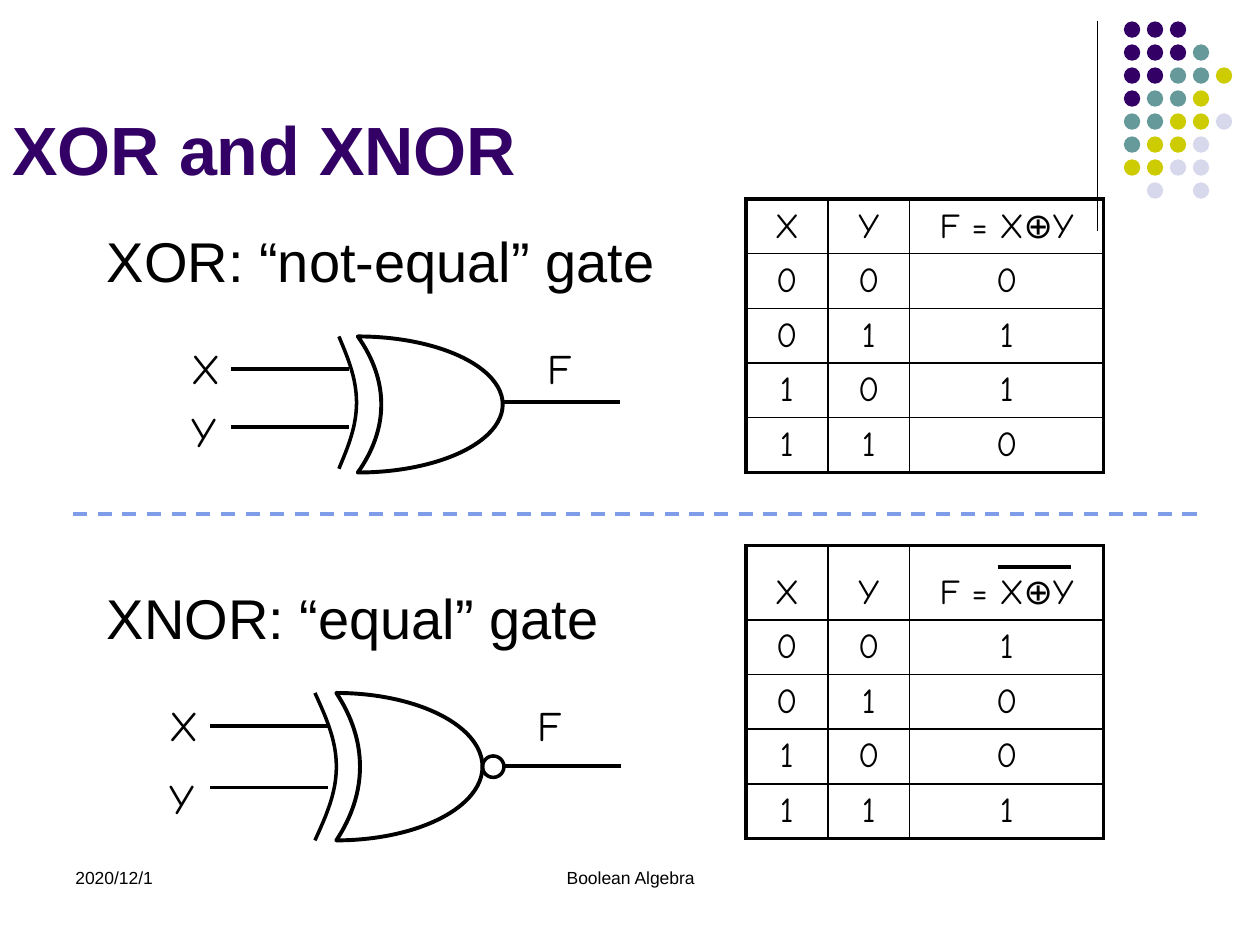
from dataclasses import dataclass
from math import pi, sin

from lxml import etree
from pptx import Presentation
from pptx.dml.color import RGBColor
from pptx.enum.dml import MSO_LINE
from pptx.enum.shapes import MSO_CONNECTOR, MSO_SHAPE
from pptx.enum.text import MSO_ANCHOR, PP_ALIGN
from pptx.oxml import parse_xml
from pptx.oxml.ns import nsdecls, qn
from pptx.util import Inches, Pt

STRAIGHT = MSO_CONNECTOR.STRAIGHT
OVAL, MOON = MSO_SHAPE.OVAL, MSO_SHAPE.MOON
DASH = MSO_LINE.DASH
TOP, MIDDLE, BOTTOM = MSO_ANCHOR.TOP, MSO_ANCHOR.MIDDLE, MSO_ANCHOR.BOTTOM
LEFT, CENTER = PP_ALIGN.LEFT, PP_ALIGN.CENTER


@dataclass(frozen=True)
class Theme:
    ink: str = "000000"
    purple: str = "330066"
    teal: str = "669999"
    lime: str = "CCCC00"
    mist: str = "D8D8EC"
    blue: str = "7E9CE8"
    sans: str = "Arial"
    comic: str = "Comic Neue"
    title: int = 39
    head: int = 32
    label: int = 24
    cell: int = 20
    foot: int = 10
    thin: float = 0.75
    inner: float = 1
    wire: float = 2
    edge: float = 2.25


THEME = Theme()
DOTS = ["PPP", "PPPT", "PPTTL", "PTTL", "TTLLM", "TLLM", "LLMM", " M M"]
INPUTS = [("0", "0"), ("0", "1"), ("1", "0"), ("1", "1")]


def rgb(code):
    return RGBColor.from_string(code)


def style(para, font, size, color=THEME.ink, bold=False, align=LEFT):
    para.alignment = align
    for run in para.runs:
        run.font.name, run.font.size, run.font.bold = font, Pt(size), bold
        run.font.color.rgb = rgb(color)


def add_text(slide, box, text, font, size, anchor=TOP, **look):
    frame = slide.shapes.add_textbox(*map(Inches, box)).text_frame
    frame.word_wrap = True
    frame.vertical_anchor = anchor
    frame.text = text
    style(frame.paragraphs[0], font, size, **look)


def add_line(slide, start, end, color=THEME.ink, width=THEME.wire, dash=None):
    line = slide.shapes.add_connector(STRAIGHT, *map(Inches, start + end))
    line.line.color.rgb = rgb(color)
    line.line.width = Pt(width)
    if dash:
        line.line.dash_style = dash
    etree.SubElement(line._element.spPr, qn("a:effectLst"))


def outline(shape, width):
    shape.shadow.inherit = False
    shape.fill.background()
    shape.line.color.rgb = rgb(THEME.ink)
    shape.line.width = Pt(width)


def add_dots(slide):
    colors = {"P": THEME.purple, "T": THEME.teal, "L": THEME.lime, "M": THEME.mist}
    step = 0.73 / 4
    for r, row in enumerate(DOTS):
        for c, key in enumerate(row):
            if key in colors:
                box = (8.92 + c * step, 0.17 + r * step, 0.13, 0.13)
                dot = slide.shapes.add_shape(OVAL, *map(Inches, box))
                dot.shadow.inherit = False
                dot.fill.solid()
                dot.fill.fore_color.rgb = rgb(colors[key])
                dot.line.fill.background()


def add_arc(slide, box, steps=24):
    """Draw the bowed input line behind the gate body."""
    x, y, w, h = box
    pts = [(Inches(x + w * sin(pi * i / steps)), Inches(y + h * i / steps))
           for i in range(steps + 1)]
    pen = slide.shapes.build_freeform(*pts[0])
    pen.add_line_segments(pts[1:], close=False)
    outline(pen.convert_to_shape(), THEME.wire)


def add_gate(slide, body, arc, wires, labels):
    moon = slide.shapes.add_shape(MOON, *map(Inches, body))
    moon.adjustments[0] = 0.838
    moon._element.spPr.xfrm.set("flipH", "1")
    outline(moon, THEME.edge)
    add_arc(slide, arc)
    for left, right, y in wires:
        add_line(slide, (right, y), (left, y))
    for text, x, y in labels:
        add_text(slide, (x, y, 0.44, 0.57), text, THEME.comic, THEME.label)


def set_borders(cell, widths):
    props = cell._tc.get_or_add_tcPr()
    for side, width in zip("LRTB", widths):
        props.append(parse_xml(
            f'<a:ln{side} {nsdecls("a")} w="{Pt(width)}"><a:solidFill>'
            f'<a:srgbClr val="{THEME.ink}"/></a:solidFill></a:ln{side}>'))


def add_truth(slide, top, heights, outs):
    """Add a truth table with a header row and the four input pairs."""
    rows = [("X", "Y", "F = X⊕Y")] + [pair + (out,) for pair, out in zip(INPUTS, outs)]
    box = (5.92, top, 2.83, sum(heights))
    table = slide.shapes.add_table(len(rows), 3, *map(Inches, box)).table
    table.first_row = table.horz_banding = False
    for col, width in zip(table.columns, (0.65, 0.65, 1.54)):
        col.width = Inches(width)
    for r, texts in enumerate(rows):
        table.rows[r].height = Inches(heights[r])
        for c, text in enumerate(texts):
            cell = table.cell(r, c)
            outer = (c == 0, c == 2, r == 0, r == len(rows) - 1)
            set_borders(cell, [THEME.edge if out else THEME.inner for out in outer])
            cell.fill.background()
            cell.vertical_anchor = MIDDLE if r else BOTTOM
            cell.text = text
            style(cell.text_frame.paragraphs[0], THEME.comic, THEME.cell, align=CENTER)


def main():
    deck = Presentation()
    deck.slide_width, deck.slide_height = Inches(10), Inches(7.5)
    slide = deck.slides.add_slide(deck.slide_layouts[6])

    add_line(slide, (8.71, 0.17), (8.71, 1.83), width=THEME.thin)
    add_dots(slide)
    add_text(slide, (0, 0.3, 10, 1.25), "XOR and XNOR", THEME.sans, THEME.title,
             BOTTOM, color=THEME.purple, bold=True)
    add_text(slide, (0.5, 6.83, 2.33, 0.5), "2020/12/1", THEME.sans, THEME.foot)
    add_text(slide, (3.42, 6.83, 3.17, 0.5), "Boolean Algebra", THEME.sans,
             THEME.foot, align=CENTER)

    add_text(slide, (0.75, 1.75, 4.74, 1.07), "XOR: “not-equal” gate",
             THEME.sans, THEME.head)
    add_gate(slide, (2.84, 2.67, 1.15, 1.08), (2.69, 2.67, 0.14, 1.05),
             [(1.83, 2.77, 2.93), (1.83, 2.77, 3.39), (3.98, 4.92, 3.19)],
             [("X", 1.42, 2.67), ("Y", 1.42, 3.17), ("F", 4.25, 2.67)])
    add_truth(slide, 1.58, [0.42] * 5, "0110")

    add_line(slide, (0.58, 4.08), (9.5, 4.08), THEME.blue, dash=DASH)

    add_text(slide, (0.75, 4.58, 4.23, 1.07), "XNOR: “equal” gate",
             THEME.sans, THEME.head)
    add_gate(slide, (2.67, 5.5, 1.16, 1.17), (2.5, 5.5, 0.17, 1.17),
             [(1.67, 2.6, 5.76), (1.67, 2.6, 6.25), (4, 4.93, 6.08)],
             [("X", 1.25, 5.5), ("Y", 1.25, 6.08), ("F", 4.17, 5.5)])
    bubble = slide.shapes.add_shape(OVAL, *map(Inches, (3.83, 6, 0.17, 0.17)))
    outline(bubble, THEME.wire)
    add_truth(slide, 4.33, [0.59] + [0.43] * 4, "1001")
    add_line(slide, (7.92, 4.5), (8.5, 4.5))

    deck.save("out.pptx")


if __name__ == "__main__":
    main()
